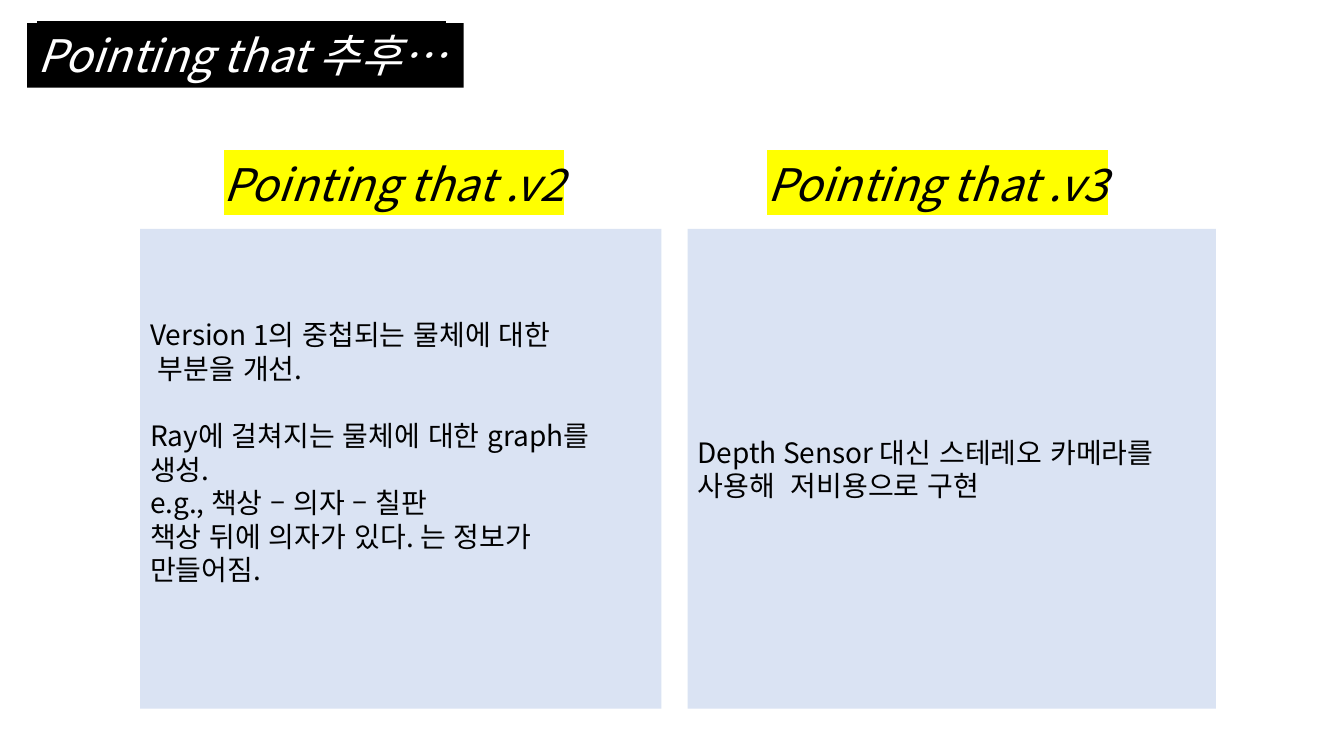
from dataclasses import dataclass

from lxml import etree
from pptx import Presentation
from pptx.dml.color import RGBColor
from pptx.enum.lang import MSO_LANGUAGE_ID
from pptx.enum.shapes import MSO_SHAPE
from pptx.enum.text import MSO_ANCHOR, MSO_AUTO_SIZE, PP_ALIGN
from pptx.oxml.ns import qn
from pptx.util import Inches, Pt

RECTANGLE = MSO_SHAPE.RECTANGLE
TOP, MIDDLE = MSO_ANCHOR.TOP, MSO_ANCHOR.MIDDLE
GROW = MSO_AUTO_SIZE.SHAPE_TO_FIT_TEXT
LEFT = PP_ALIGN.LEFT
KOREAN = MSO_LANGUAGE_ID.KOREAN


@dataclass(frozen=True)
class Theme:
    font: str = "Noto Sans CJK KR"
    black: str = "000000"
    white: str = "FFFFFF"
    yellow: str = "FFFF00"
    panel: str = "DAE3F3"
    heading_size: int = 32
    body_size: int = 20
    body_line: int = 24


THEME = Theme()


def add_span(para, text, size, color, highlight=None):
    span = para.add_run()
    span.text = text
    font = span.font
    font.size = Pt(size)
    font.color.rgb = RGBColor.from_string(color)
    font.name = THEME.font
    font.language_id = KOREAN
    if highlight:
        font.italic = True
        marker = etree.Element(qn("a:highlight"))
        etree.SubElement(marker, qn("a:srgbClr"), val=highlight)
        span._r.get_or_add_rPr().find(qn("a:solidFill")).addnext(marker)


def add_rectangle(page, left, top, width, height, fill):
    box = page.shapes.add_shape(
        RECTANGLE, Inches(left), Inches(top), Inches(width), Inches(height))
    box.shadow.inherit = False
    box.fill.solid()
    box.fill.fore_color.rgb = RGBColor.from_string(fill)
    box.line.fill.background()
    return box


def write_heading(box, text, color, highlight, wrap=True):
    frame = box.text_frame
    frame.word_wrap = wrap
    frame.auto_size = GROW
    frame.vertical_anchor = TOP
    para = frame.paragraphs[0]
    para.alignment = LEFT
    add_span(para, text, THEME.heading_size, color, highlight)


def add_title(page, text):
    box = add_rectangle(page, 0.27, 0.23, 4.33, 0.64, THEME.black)
    write_heading(box, text, THEME.white, THEME.black, wrap=False)


def add_version_heading(page, left, width, text):
    box = page.shapes.add_textbox(
        Inches(left), Inches(1.51), Inches(width), Inches(0.64))
    write_heading(box, text, THEME.black, THEME.yellow)


def add_panel(page, left, width, paragraphs, gap_before=(),
              right_inset=0.1, bottom_inset=0.05):
    """Each paragraph is a list of lines; gap_before holds indexes set apart by a line."""
    box = add_rectangle(page, left, 2.27, width, 4.76, THEME.panel)
    frame = box.text_frame
    frame.word_wrap = True
    frame.vertical_anchor = MIDDLE
    frame.margin_right = Inches(right_inset)
    frame.margin_bottom = Inches(bottom_inset)
    for index, lines in enumerate(paragraphs):
        para = frame.add_paragraph() if index else frame.paragraphs[0]
        para.alignment = LEFT
        if index in gap_before:
            para.space_before = Pt(THEME.body_line)
        for number, line in enumerate(lines):
            if number:
                para.add_line_break()
            add_span(para, line, THEME.body_size, THEME.black)


def main():
    deck = Presentation()
    deck.slide_width, deck.slide_height = Inches(13.33), Inches(7.5)
    page = deck.slides.add_slide(deck.slide_layouts[6])

    add_title(page, "Pointing that 추후…")
    add_version_heading(page, 2.12, 3.7, "Pointing that .v2")
    add_version_heading(page, 7.51, 3.86, "Pointing that .v3")
    add_panel(page, 1.39, 5.17, [
        ["Version 1의 중첩되는 물체에 대한", " 부분을 개선."],
        ["Ray에 걸쳐지는 물체에 대한 graph를 생성."],
        ["e.g., 책상 – 의자 – 칠판"],
        ["책상 뒤에 의자가 있다. 는 정보가 만들어짐."],
    ], gap_before=(1,), right_inset=0.25, bottom_inset=0.38)
    add_panel(page, 6.82, 5.24, [
        ["Depth Sensor 대신 스테레오 카메라를 사용해  저비용으로 구현"],
    ])

    deck.save("out.pptx")


if __name__ == "__main__":
    main()
